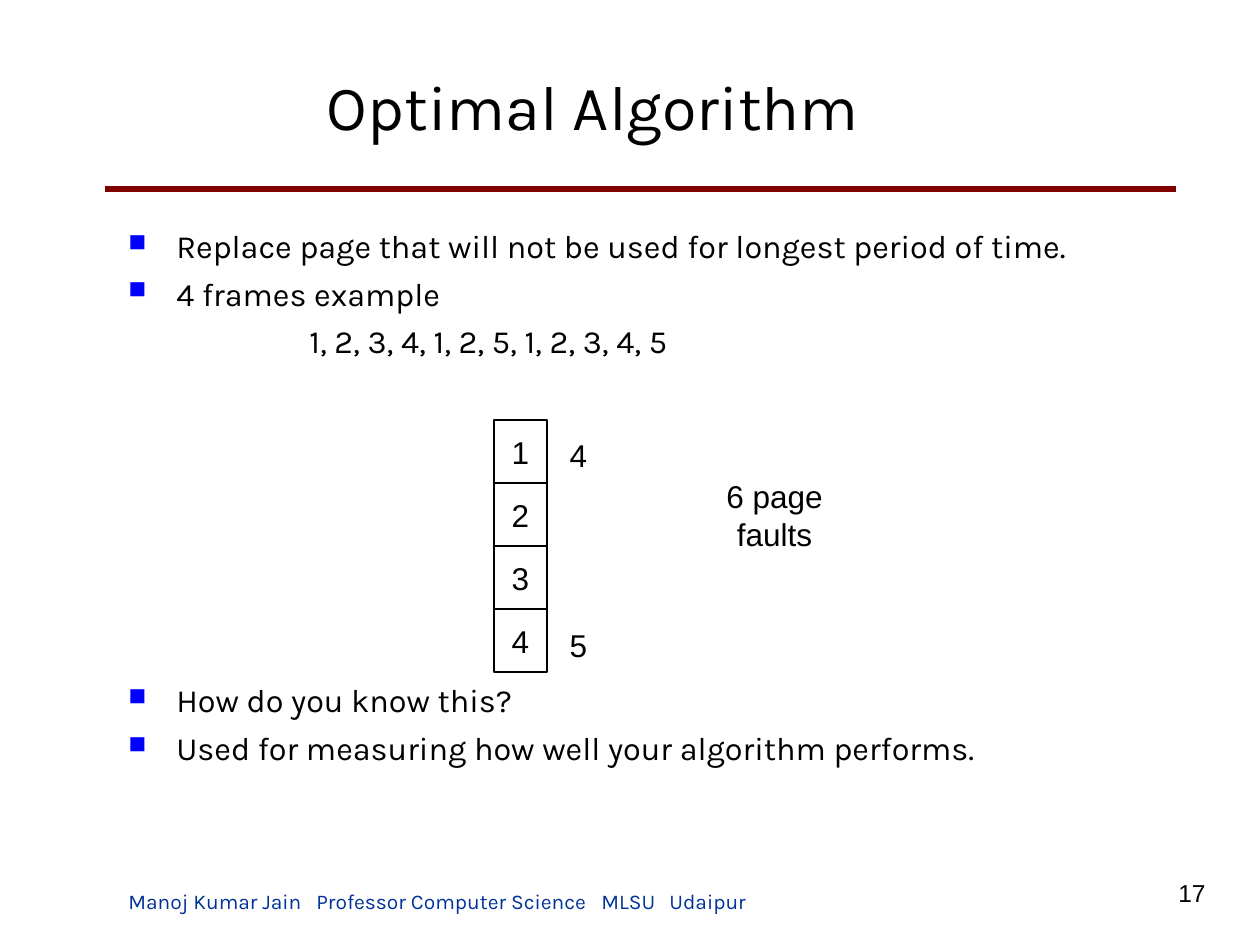
from dataclasses import dataclass

from lxml.etree import SubElement
from pptx import Presentation
from pptx.dml.color import RGBColor
from pptx.enum.shapes import MSO_CONNECTOR, MSO_SHAPE
from pptx.enum.text import MSO_ANCHOR, PP_ALIGN
from pptx.oxml.ns import qn
from pptx.shapes.autoshape import Shape
from pptx.slide import Slide
from pptx.util import Emu, Pt

PX = 914400 / 126
BLACK = RGBColor(0x00, 0x00, 0x00)
WHITE = RGBColor(0xFF, 0xFF, 0xFF)
MAROON = RGBColor(0x80, 0x00, 0x00)
NAVY = RGBColor(0x00, 0x33, 0x99)
BULLET_BLUE = RGBColor(0x00, 0x00, 0xFF)

TITLE_FONT = {"name": "Karla", "size": Pt(36)}
BODY_FONT = {"name": "Karla", "size": Pt(18.5)}
FOOTER_FONT = {"name": "Karla", "size": Pt(12)}
NUMBER_FONT = {"name": "Arial", "size": Pt(14)}
FRAME_FONT = {"name": "Arial", "size": Pt(18)}


@dataclass(frozen=True)
class Box:
    left: int
    top: int
    width: int
    height: int


@dataclass(frozen=True)
class Label:
    text: str
    box: Box
    font: dict
    align: PP_ALIGN = PP_ALIGN.CENTER
    anchor: MSO_ANCHOR = MSO_ANCHOR.MIDDLE
    color: RGBColor = BLACK
    wrap: bool = True
    tabs: tuple[int, ...] = ()


@dataclass(frozen=True)
class Point:
    text: str
    space_before: float = 5
    indent: int = 48
    bulleted: bool = True


LABELS = [
    Label("Optimal Algorithm", Box(105, 42, 976, 126), TITLE_FONT),
    Label("Manoj Kumar Jain\tProfessor Computer Science\tMLSU\tUdaipur",
          Box(116, 882, 924, 38), FOOTER_FONT, PP_ALIGN.LEFT,
          MSO_ANCHOR.BOTTOM, NAVY, tabs=(188, 473, 541)),
    Label("17", Box(1134, 872, 84, 42), NUMBER_FONT, PP_ALIGN.RIGHT,
          MSO_ANCHOR.TOP),
    Label("4", Box(557, 430, 43, 50), FRAME_FONT, wrap=False),
    Label("6 page faults", Box(672, 490, 205, 50), FRAME_FONT, wrap=False),
    Label("5", Box(557, 620, 43, 50), FRAME_FONT, wrap=False),
]

POINTS = [
    Point("Replace page that will not be used for longest period of time.", 0),
    Point("4 frames example"),
    Point("1, 2, 3, 4, 1, 2, 5, 1, 2, 3, 4, 5", indent=181, bulleted=False),
    Point("How do you know this?", 183),
    Point("Used for measuring how well your algorithm performs."),
]

FRAMES = ["1", "2", "3", "4"]
FIRST_FRAME = Box(494, 420, 53, 63)


def px(length: int) -> Emu:
    return Emu(round(length * PX))


def place(box: Box) -> tuple[Emu, Emu, Emu, Emu]:
    return px(box.left), px(box.top), px(box.width), px(box.height)


def style(paragraph, font: dict, color: RGBColor = BLACK) -> None:
    for attribute, setting in font.items():
        setattr(paragraph.font, attribute, setting)
    paragraph.font.color.rgb = color


def write(holder: Shape, label: Label) -> None:
    frame = holder.text_frame
    frame.word_wrap = label.wrap
    frame.vertical_anchor = label.anchor
    paragraph = frame.paragraphs[0]
    paragraph.text = label.text
    paragraph.alignment = label.align
    if label.tabs:
        stops = SubElement(paragraph._p.get_or_add_pPr(), qn("a:tabLst"))
        for stop in label.tabs:
            SubElement(stops, qn("a:tab"), pos=str(px(stop)), algn="l")
    style(paragraph, label.font, label.color)


def add_label(slide: Slide, label: Label) -> None:
    write(slide.shapes.add_textbox(*place(label.box)), label)


def add_frame(slide: Slide, number: str, box: Box) -> None:
    cell = slide.shapes.add_shape(MSO_SHAPE.RECTANGLE, *place(box))
    cell.shadow.inherit = False
    cell.fill.solid()
    cell.fill.fore_color.rgb = WHITE
    cell.line.color.rgb = BLACK
    cell.line.width = Pt(0.75)
    write(cell, Label(number, box, FRAME_FONT, wrap=False))


def add_points(slide: Slide, points: list[Point], box: Box) -> None:
    body = slide.shapes.add_textbox(*place(box)).text_frame
    body.word_wrap = True
    for index, point in enumerate(points):
        paragraph = body.add_paragraph() if index else body.paragraphs[0]
        paragraph.text = point.text
        paragraph.space_before = Pt(point.space_before)
        properties = paragraph._p.get_or_add_pPr()
        properties.set("marL", str(px(point.indent)))
        if point.bulleted:
            properties.set("indent", str(-px(point.indent)))
            tint = SubElement(properties, qn("a:buClr"))
            SubElement(tint, qn("a:srgbClr"), val=str(BULLET_BLUE))
            SubElement(properties, qn("a:buSzPct"), val="75000")
            SubElement(properties, qn("a:buChar"), char="■")
        style(paragraph, BODY_FONT)


def add_rule(slide: Slide, left: int, right: int, y: int) -> None:
    rule = slide.shapes.add_connector(
        MSO_CONNECTOR.STRAIGHT, px(left), px(y), px(right), px(y))
    rule.line.color.rgb = MAROON
    rule.line.width = Pt(3)
    SubElement(rule._element.spPr, qn("a:effectLst"))


def main() -> None:
    deck = Presentation()
    deck.slide_width, deck.slide_height = px(1260), px(945)
    slide = deck.slides.add_slide(deck.slide_layouts[6])
    add_rule(slide, 105, 1176, 189)
    add_points(slide, POINTS, Box(116, 220, 1071, 620))
    for row, number in enumerate(FRAMES):
        top = FIRST_FRAME.top + row * FIRST_FRAME.height
        add_frame(slide, number, Box(FIRST_FRAME.left, top,
                                     FIRST_FRAME.width, FIRST_FRAME.height))
    for label in LABELS:
        add_label(slide, label)
    deck.save("out.pptx")


if __name__ == "__main__":
    main()
